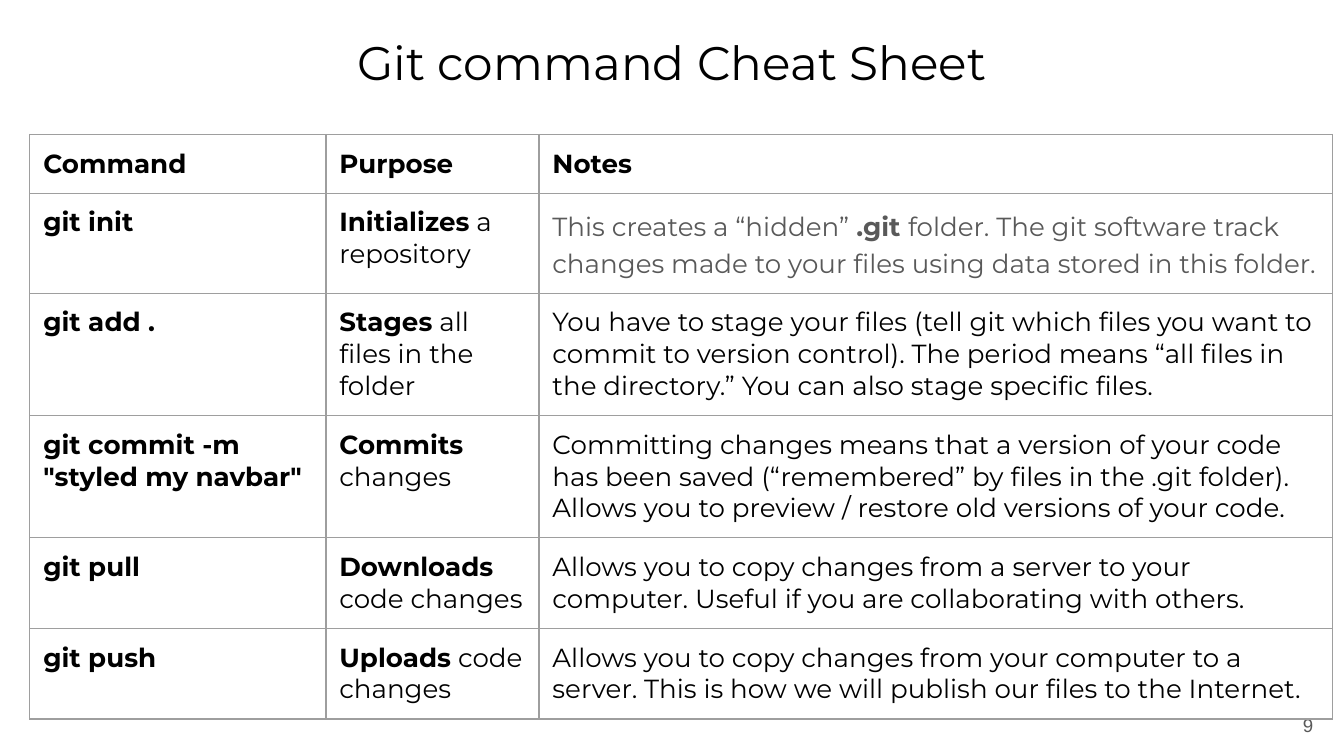
from lxml.etree import SubElement
from pptx import Presentation
from pptx.dml.color import RGBColor
from pptx.enum.text import MSO_ANCHOR, MSO_AUTO_SIZE, PP_ALIGN
from pptx.oxml.ns import qn
from pptx.util import Pt

COLORS = {"text": "000000", "muted": "595959", "border": "9E9E9E", "paper": "FFFFFF"}
FONT = "Montserrat"
INSET = Pt(7.2)
TITLE = "Git command Cheat Sheet"
PAGE_NUMBER = "9"
COMMANDS = [
    ("**Command**", "**Purpose**", "**Notes**"),
    ("**git init**", "**Initializes** a repository",
     "This creates a “hidden” **.git **folder. The git software track changes made "
     "to your files using data stored in this folder."),
    ("**git add .**", "**Stages** all files in the folder",
     "You have to stage your files (tell git which files you want to commit to version "
     "control). The period means “all files in the directory.” You can also stage "
     "specific files."),
    ('**git commit -m "styled my navbar"**', "**Commits **changes",
     "Committing changes means that a version of your code has been saved "
     "(“remembered” by files in the .git folder). Allows you to preview / restore "
     "old versions of your code."),
    ("**git pull**", "**Downloads** code changes",
     "Allows you to copy changes from a server to your computer. Useful if you are "
     "collaborating with others."),
    ("**git push**", "**Uploads** code changes",
     "Allows you to copy changes from your computer to a server. This is how we will "
     "publish our files to the Internet."),
]
MUTED_NOTE = (1, 2)
COLUMN_WIDTHS = [158.6, 114.2, 424.9]
ROW_HEIGHTS = [31, 46.8, 31, 31, 31, 31]


def style_font(font, size, color, name=FONT, bold=False):
    font.name = name
    font.size = Pt(size)
    font.bold = bold
    font.color.rgb = RGBColor.from_string(COLORS[color])


def place(shape, left, top, width, height):
    shape.left, shape.top = Pt(left), Pt(top)
    shape.width, shape.height = Pt(width), Pt(height)


def set_insets(target):
    target.margin_left = target.margin_right = INSET
    target.margin_top = target.margin_bottom = INSET


def write_line(shape, text, anchor, align, size, color, name=FONT):
    frame = shape.text_frame
    frame.text = text
    frame.word_wrap = True
    frame.auto_size = MSO_AUTO_SIZE.NONE
    frame.vertical_anchor = anchor
    set_insets(frame)
    frame.paragraphs[0].alignment = align
    style_font(frame.paragraphs[0].runs[0].font, size, color, name)


def write_cell(cell, marked_text, color):
    set_insets(cell)
    paragraph = cell.text_frame.paragraphs[0]
    for index, part in enumerate(marked_text.split("**")):
        if part:
            run = paragraph.add_run()
            run.text = part
            style_font(run.font, 14, color, bold=index % 2 == 1)


def frame_cell(cell):
    properties = cell._tc.get_or_add_tcPr()
    for side in ("a:lnL", "a:lnR", "a:lnT", "a:lnB"):
        line = SubElement(properties, qn(side), w=str(Pt(0.75)))
        fill = SubElement(line, qn("a:solidFill"))
        SubElement(fill, qn("a:srgbClr"), val=COLORS["border"])
    cell.fill.solid()
    cell.fill.fore_color.rgb = RGBColor.from_string(COLORS["paper"])


presentation = Presentation()
presentation.slide_width, presentation.slide_height = Pt(720), Pt(405)
slide = presentation.slides.add_slide(presentation.slide_layouts[5])

title = slide.shapes.title
place(title, 24.5, 10.8, 671, 45.4)
write_line(title, TITLE, MSO_ANCHOR.TOP, PP_ALIGN.CENTER, 25.2, "text")

page_number = slide.shapes.add_textbox(Pt(667.4), Pt(373), Pt(43.2), Pt(31))
write_line(page_number, PAGE_NUMBER, MSO_ANCHOR.MIDDLE, PP_ALIGN.RIGHT, 10, "muted", "Arial")

cheat_sheet = slide.shapes.add_table(
    len(COMMANDS), len(COLUMN_WIDTHS), Pt(16), Pt(72),
    Pt(sum(COLUMN_WIDTHS)), Pt(sum(ROW_HEIGHTS))).table
cheat_sheet.first_row = cheat_sheet.horz_banding = False
for column, width in zip(cheat_sheet.columns, COLUMN_WIDTHS):
    column.width = Pt(width)
for row, height in zip(cheat_sheet.rows, ROW_HEIGHTS):
    row.height = Pt(height)

for row_index, command in enumerate(COMMANDS):
    for column_index, marked_text in enumerate(command):
        cell = cheat_sheet.cell(row_index, column_index)
        muted = (row_index, column_index) == MUTED_NOTE
        write_cell(cell, marked_text, "muted" if muted else "text")
        frame_cell(cell)

hidden_folder_note = cheat_sheet.cell(*MUTED_NOTE).text_frame.paragraphs[0]
hidden_folder_note.line_spacing = 1.15
hidden_folder_note.space_before = Pt(10)

presentation.save("out.pptx")
